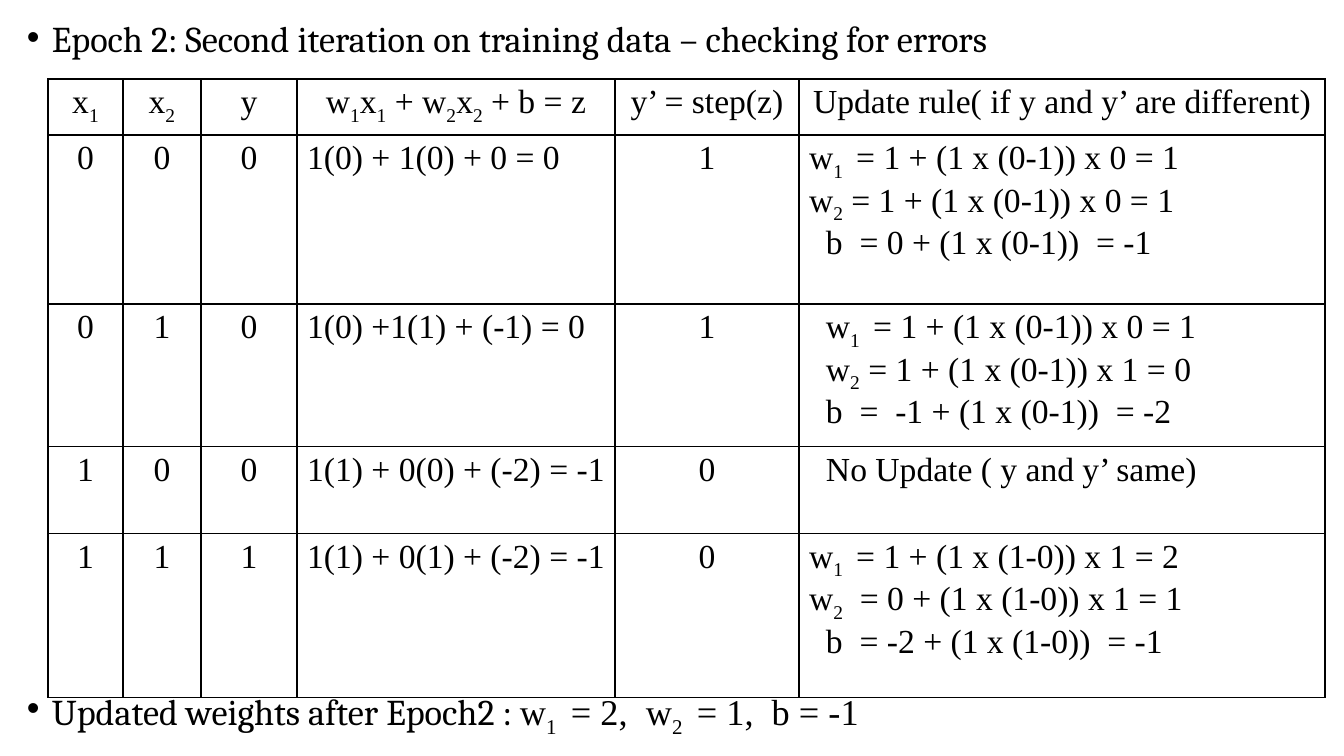
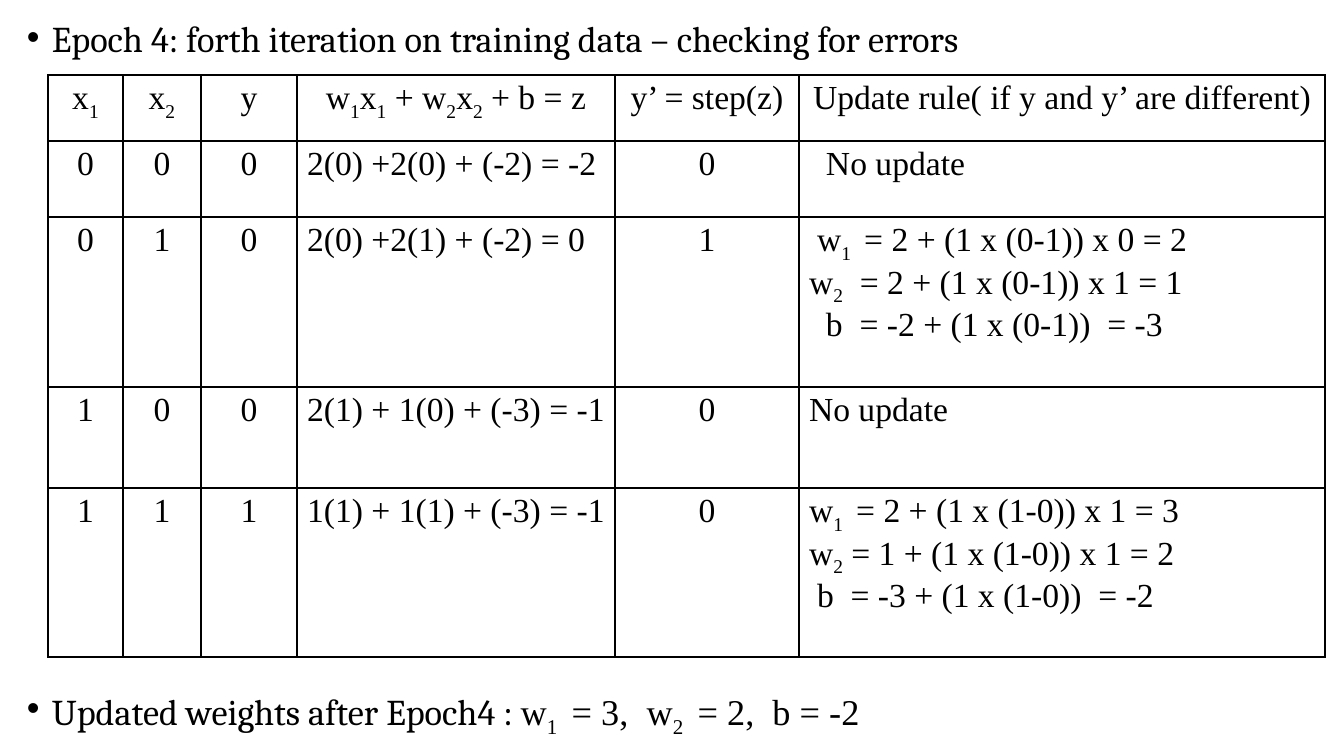
import pptx
import pptx.dml.color
import pptx.enum.text
import pptx.oxml
import pptx.oxml.ns
import pptx.util

PX = 12192000 / 1344
INK = "000000"
SERIF = "Cambria"
TIMES = "Times New Roman"
BULLET_SIZE = 25.9
CELL_SIZE = 24
NS = pptx.oxml.ns.nsdecls("a")
CENTER = pptx.enum.text.PP_ALIGN.CENTER
LEFT = pptx.enum.text.PP_ALIGN.LEFT


def px(length):
    return pptx.util.Emu(round(length * PX))


def write(paragraph, text, size=CELL_SIZE, font=TIMES, color=INK, align=LEFT):
    paragraph.alignment = align
    for position, part in enumerate(text.split("_")):
        if not part:
            continue
        run = paragraph.add_run()
        run.text = part
        run.font.size = pptx.util.Pt(size)
        run.font.name = font
        run.font.color.rgb = pptx.dml.color.RGBColor.from_string(color)
        if position % 2:
            run.font._element.set("baseline", "-25000")


columns = [75, 78, 96, 318, 184, 526]
centered_columns = {0, 1, 2, 4}
header = ["x_1_", "x_2_", "y", "w_1_x_1_ + w_2_x_2_ + b = z", "y’ = step(z)",
          "Update rule( if y and y’ are different)"]
inputs = [("0", "0", "0"), ("0", "1", "0"), ("1", "0", "0"), ("1", "1", "1")]

epochs = [
    {
        "heading": "Epoch 2: Second iteration on training data – checking for errors",
        "summary": "Updated weights after Epoch2 : ",
        "weights": "w_1 _ = 2,  w_2 _ = 1,  b = -1",
        "top": 79,
        "heights": [53, 169, 132, 87, 164],
        "steps": [
            ("1(0) + 1(0) + 0 = 0", "1",
             [(0, "w_1 _ = 1 + (1 x (0-1)) x 0 = 1"),
              (0, "w_2_ = 1 + (1 x (0-1)) x 0 = 1"),
              (17, "b  = 0 + (1 x (0-1))  = -1")]),
            ("1(0) +1(1) + (-1) = 0", "1",
             [(17, "w_1 _ = 1 + (1 x (0-1)) x 0 = 1"),
              (17, "w_2_ = 1 + (1 x (0-1)) x 1 = 0"),
              (17, "b  =  -1 + (1 x (0-1))  = -2")]),
            ("1(1) + 0(0) + (-2) = -1", "0",
             [(17, "No Update ( y and y’ same)")]),
            ("1(1) + 0(1) + (-2) = -1", "0",
             [(0, "w_1 _ = 1 + (1 x (1-0)) x 1 = 2"),
              (0, "w_2_  = 0 + (1 x (1-0)) x 1 = 1"),
              (17, "b  = -2 + (1 x (1-0))  = -1")]),
        ],
    },
    {
        "heading": "Epoch 4: forth iteration on training data – checking for errors",
        "summary": "Updated weights after Epoch4 : ",
        "weights": "w_1 _ = 3,  w_2 _ = 2,  b = -2",
        "top": 75,
        "heights": [66, 76, 170, 101, 169],
        "steps": [
            ("2(0) +2(0) + (-2) = -2", "0", [(17, "No update")]),
            ("2(0) +2(1) + (-2) = 0", "1",
             [(8, "w_1 _ = 2 + (1 x (0-1)) x 0 = 2"),
              (0, "w_2_  = 2 + (1 x (0-1)) x 1 = 1"),
              (17, "b  = -2 + (1 x (0-1))  = -3")]),
            ("2(1) + 1(0) + (-3) = -1", "0", [(0, "No update")]),
            ("1(1) + 1(1) + (-3) = -1", "0",
             [(0, "w_1 _ = 2 + (1 x (1-0)) x 1 = 3"),
              (0, "w_2_ = 1 + (1 x (1-0)) x 1 = 2"),
              (8, "b  = -3 + (1 x (1-0))  = -2")]),
        ],
    },
]

deck = pptx.Presentation()
deck.slide_width = px(1344)
deck.slide_height = px(756)

for epoch in epochs:
    slide = deck.slides.add_slide(deck.slide_layouts[6])

    heading = [(epoch["heading"], SERIF)]
    summary = [(epoch["summary"], SERIF), (epoch["weights"], TIMES)]
    for top, phrases in ((23, heading), (693, summary)):
        frame = slide.shapes.add_textbox(px(17), px(top), px(1308), px(42)).text_frame
        frame.word_wrap = True
        bullet = frame.paragraphs[0]
        bullet.line_spacing = 0.7
        properties = bullet._p.get_or_add_pPr()
        properties.set("marL", str(px(25)))
        properties.set("indent", str(px(-25)))
        properties.append(pptx.oxml.parse_xml(f'<a:buFont {NS} typeface="Arial"/>'))
        properties.append(pptx.oxml.parse_xml(f'<a:buChar {NS} char="•"/>'))
        for phrase, font in phrases:
            write(bullet, phrase, size=BULLET_SIZE, font=font)

    rows = [[[(0, label)] for label in header]]
    for values, (total, output, update) in zip(inputs, epoch["steps"]):
        rows.append([[(0, value)] for value in (*values, total, output)] + [update])

    table = slide.shapes.add_table(
        len(rows), len(columns), px(48), px(epoch["top"]),
        px(sum(columns)), px(sum(epoch["heights"]))).table
    table.first_row = False
    table.horz_banding = False
    for column, width in zip(table.columns, columns):
        column.width = px(width)
    for row, height in zip(table.rows, epoch["heights"]):
        row.height = px(height)

    for row_number, row in enumerate(rows):
        for column_number, lines in enumerate(row):
            cell = table.cell(row_number, column_number)
            centered = row_number == 0 or column_number in centered_columns
            for line_number, (indent, line) in enumerate(lines):
                frame = cell.text_frame
                paragraph = frame.add_paragraph() if line_number else frame.paragraphs[0]
                write(paragraph, line, align=CENTER if centered else LEFT)
                if indent:
                    paragraph._p.get_or_add_pPr().set("marL", str(px(indent)))
            borders = cell._tc.get_or_add_tcPr()
            for side in ("lnL", "lnR", "lnT", "lnB"):
                borders.append(pptx.oxml.parse_xml(
                    f'<a:{side} {NS} w="12700"><a:solidFill><a:srgbClr val="{INK}"/>'
                    f'</a:solidFill></a:{side}>'))
            cell.fill.background()

deck.save("out.pptx")
